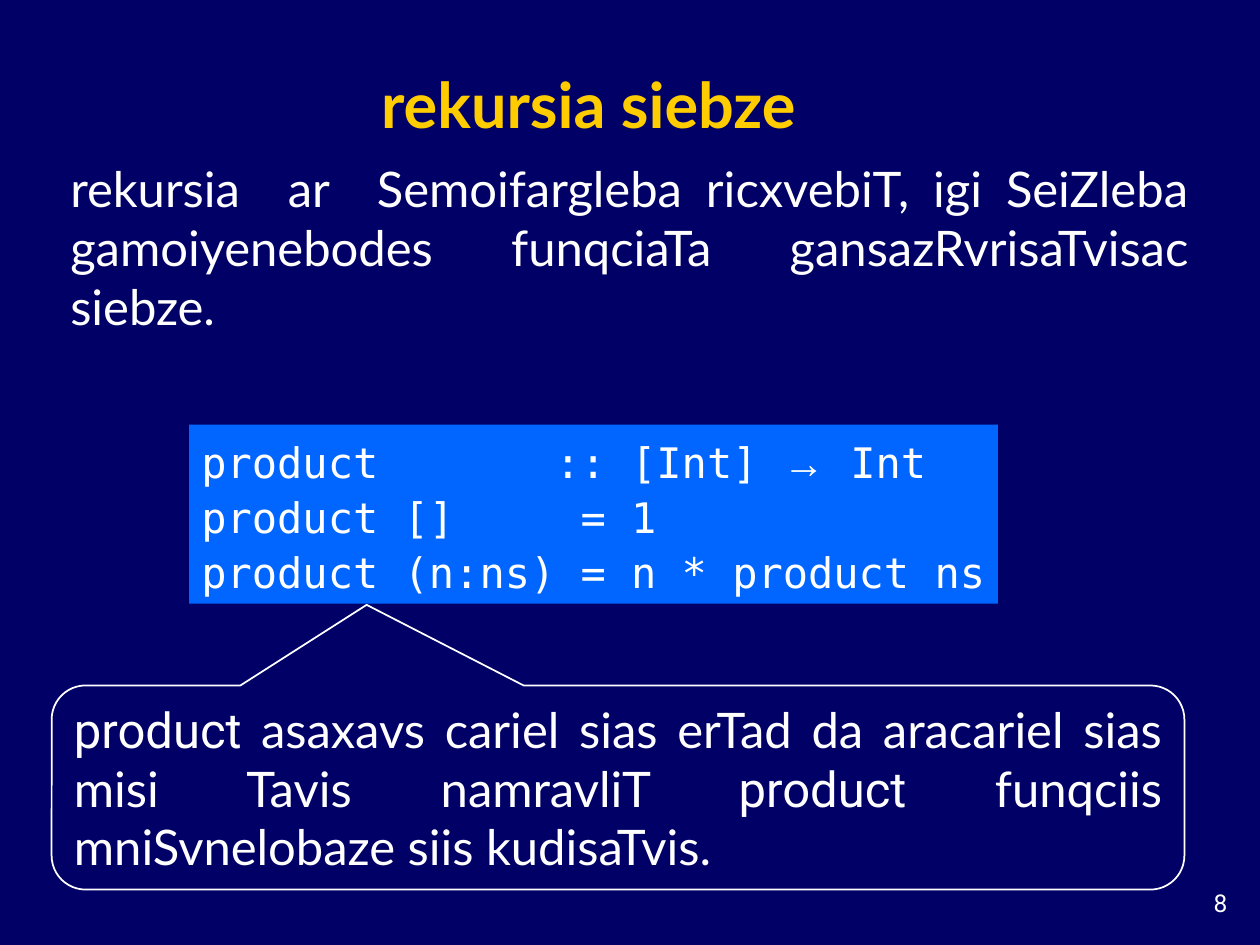
from dataclasses import dataclass

from pptx import Presentation
from pptx.dml.color import RGBColor
from pptx.enum.shapes import MSO_SHAPE
from pptx.enum.text import MSO_ANCHOR, PP_ALIGN
from pptx.util import Inches, Pt

RECT = MSO_SHAPE.RECTANGLE
CALLOUT = MSO_SHAPE.ROUNDED_RECTANGULAR_CALLOUT
TOP, MIDDLE, BOTTOM = MSO_ANCHOR.TOP, MSO_ANCHOR.MIDDLE, MSO_ANCHOR.BOTTOM
LEFT, CENTER, RIGHT, JUSTIFY = (
    PP_ALIGN.LEFT, PP_ALIGN.CENTER, PP_ALIGN.RIGHT, PP_ALIGN.JUSTIFY)


@dataclass(frozen=True)
class Theme:
    background: RGBColor = RGBColor(0x00, 0x00, 0x66)
    accent: RGBColor = RGBColor(0xFF, 0xCC, 0x00)
    text: RGBColor = RGBColor(0xFF, 0xFF, 0xFF)
    panel: RGBColor = RGBColor(0x00, 0x66, 0xFF)
    sans: str = "Lato"
    label: str = "Roboto"
    mono: str = "DejaVu Sans Mono"
    symbol: str = "Arial"
    title_size: Pt = Pt(36)
    body_size: Pt = Pt(28)
    code_size: Pt = Pt(24)
    number_size: Pt = Pt(14)


THEME = Theme()


def inches(box):
    return [Inches(v) for v in box]


def write(sp, lines, size, align, anchor, color=THEME.text, wrap=True,
          spacing=None, bold=False):
    tf = sp.text_frame
    tf.word_wrap = wrap
    tf.vertical_anchor = anchor
    for i, runs in enumerate(lines):
        p = tf.paragraphs[0] if i == 0 else tf.add_paragraph()
        p.alignment = align
        p.line_spacing = spacing
        p.font.size = size
        p.font.bold = bold
        p.font.color.rgb = color
        fonts = {font for _, font in runs}
        if len(fonts) == 1:
            p.font.name = runs[0][1]
        for text, font in runs:
            r = p.add_run()
            r.text = text
            if len(fonts) > 1:
                r.font.name = font


def add_title(s, box, text):
    write(s.shapes.add_textbox(*inches(box)), [[(text, THEME.sans)]],
          THEME.title_size, CENTER, BOTTOM, color=THEME.accent, bold=True)


def add_body(s, box, text):
    write(s.shapes.add_textbox(*inches(box)), [[(text, THEME.sans)]],
          THEME.body_size, JUSTIFY, TOP)


def add_code(s, box, lines):
    sp = s.shapes.add_shape(RECT, *inches(box))
    sp.shadow.inherit = False
    sp.fill.solid()
    sp.fill.fore_color.rgb = THEME.panel
    sp.line.fill.background()
    write(sp, lines, THEME.code_size, LEFT, MIDDLE, wrap=False, spacing=1.1)


def add_callout(s, box, pointer, runs):
    sp = s.shapes.add_shape(CALLOUT, *inches(box))
    sp.shadow.inherit = False
    sp.fill.background()
    sp.line.color.rgb = THEME.text
    sp.line.width = Pt(1)
    left, top, width, height = box
    sp.adjustments[0] = (pointer[0] - left) / width - 0.5
    sp.adjustments[1] = (pointer[1] - top) / height - 0.5
    write(sp, [runs], THEME.body_size, JUSTIFY, MIDDLE)


def add_page_number(s, box, number):
    write(s.shapes.add_textbox(*inches(box)), [[(number, THEME.label)]],
          THEME.number_size, RIGHT, TOP)


def main():
    prs = Presentation()
    prs.slide_width, prs.slide_height = Inches(10), Inches(7.5)
    s = prs.slides.add_slide(prs.slide_layouts[6])
    s.background.fill.solid()
    s.background.fill.fore_color.rgb = THEME.background

    add_page_number(s, (9.17, 7, 0.67, 0.33), "8")
    add_title(s, (0.42, 0.42, 8.5, 0.75), "rekursia siebze")
    add_body(s, (0.46, 1.21, 9.07, 1.97),
             "rekursia  ar  Semoifargleba ricxvebiT, igi SeiZleba "
             "gamoiyenebodes funqciaTa gansazRvrisaTvisac siebze.")
    add_code(s, (1.5, 3.37, 6.42, 1.42), [
        [("product       :: [Int] ", THEME.mono), ("→", THEME.symbol),
         (" Int", THEME.mono)],
        [("product []     = 1", THEME.mono)],
        [("product (n:ns) = n * product ns", THEME.mono)],
    ])
    add_callout(s, (0.41, 5.44, 8.99, 1.62), (2.91, 4.8), [
        ("product ", THEME.label),
        ("asaxavs cariel sias erTad da aracariel sias misi Tavis "
         "namravliT ", THEME.sans),
        ("product ", THEME.label),
        ("funqciis mniSvnelobaze siis kudisaTvis.", THEME.sans),
    ])
    prs.save("out.pptx")


if __name__ == "__main__":
    main()
